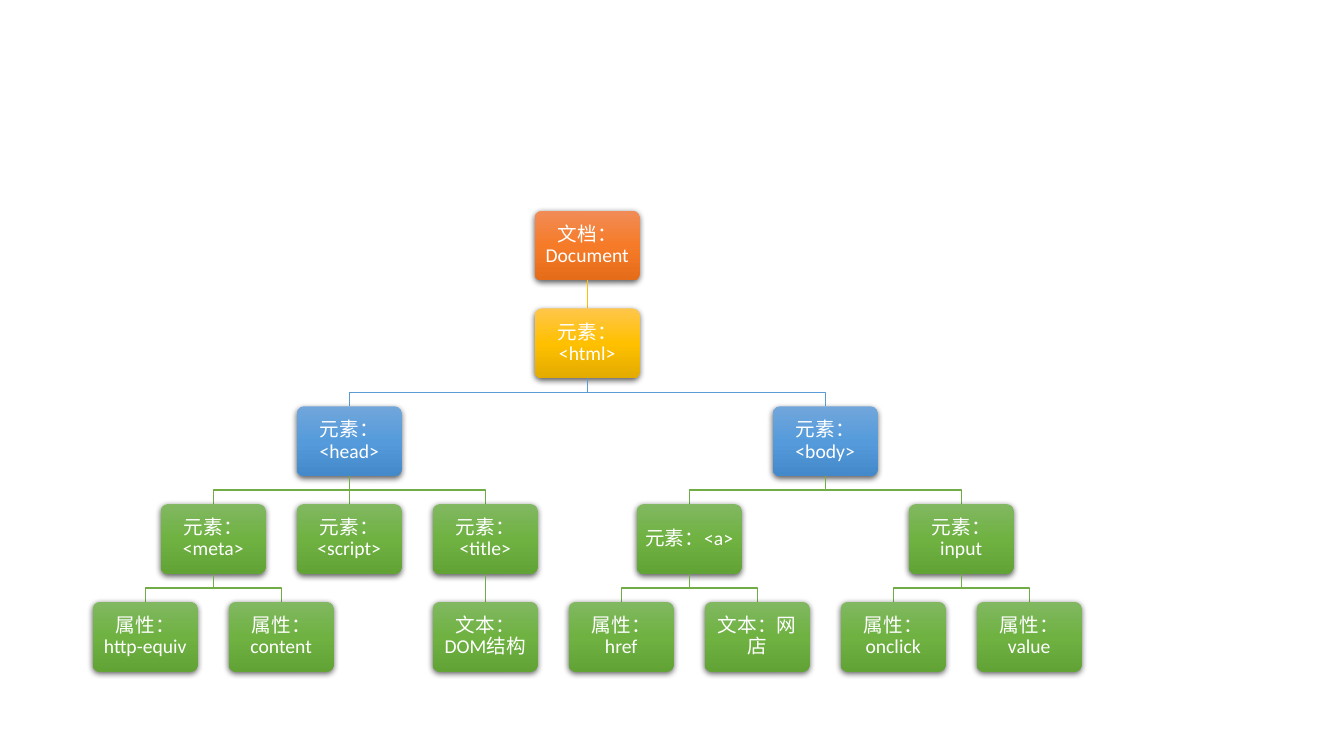
from copy import deepcopy

from lxml.etree import SubElement
from pptx import Presentation
from pptx.dml.color import RGBColor
from pptx.enum.shapes import MSO_CONNECTOR, MSO_SHAPE
from pptx.enum.text import MSO_ANCHOR, PP_ALIGN
from pptx.oxml.ns import qn
from pptx.util import Pt


def rgb(value):
    return RGBColor.from_string(value)


NODE_WIDTH, NODE_HEIGHT = 74.72, 49.8
FIRST_CENTER, HALF_STEP = 103.8, 48.57
TREE_TOP, LEVEL_STEP = 150.5, 69.85
INSET = 4.2

# Gradient from top to bottom, and colour of the line to the parent
GREEN = (("81B861", "6FB242", "62A336"), "70AD47")
LEVEL_COLORS = [
    (("F18C57", "F67B28", "E56C19"), None),
    (("FFC64B", "FFC000", "E3AB00"), "FFC000"),
    (("71A6DB", "559BDB", "448ACA"), "5B9BD5"),
    GREEN,
    GREEN,
]

# Level, column in half steps, text; each node follows its parent
dom_nodes = [
    (0, 6.5, "文档：Document"),
    (1, 6.5, "元素：<html>"),
    (2, 3, "元素：<head>"),
    (3, 1, "元素：<meta>"),
    (4, 0, "属性：http-equiv"),
    (4, 2, "属性：content"),
    (3, 3, "元素：<script>"),
    (3, 5, "元素：<title>"),
    (4, 5, "文本：DOM结构"),
    (2, 10, "元素：<body>"),
    (3, 8, "元素：<a>"),
    (4, 7, "属性：href"),
    (4, 9, "文本：网店"),
    (3, 12, "元素：input"),
    (4, 11, "属性：onclick"),
    (4, 13, "属性：value"),
]

prs = Presentation()
prs.slide_width, prs.slide_height = Pt(960), Pt(540)
slide = prs.slides.add_slide(prs.slide_layouts[6])
shapes = slide.shapes

latest_center = {}
for level, column, text in dom_nodes:
    gradient, branch_color = LEVEL_COLORS[level]
    center = FIRST_CENTER + column * HALF_STEP
    top = TREE_TOP + level * LEVEL_STEP
    latest_center[level] = center

    if level > 0:
        parent_center = latest_center[level - 1]
        parent_bottom = top - LEVEL_STEP + NODE_HEIGHT
        if parent_center == center:
            branch = shapes.add_connector(
                MSO_CONNECTOR.STRAIGHT, Pt(center), Pt(parent_bottom), Pt(center), Pt(top))
            SubElement(branch._element.spPr, qn("a:effectLst"))
        else:
            middle = (parent_bottom + top) / 2
            elbow = shapes.build_freeform(Pt(parent_center), Pt(parent_bottom))
            elbow.add_line_segments(
                [(Pt(parent_center), Pt(middle)), (Pt(center), Pt(middle)), (Pt(center), Pt(top))],
                close=False)
            branch = elbow.convert_to_shape()
            branch.fill.background()
            branch.shadow.inherit = False
        branch.line.color.rgb = rgb(branch_color)
        branch.line.width = Pt(1)

    node = shapes.add_shape(
        MSO_SHAPE.ROUNDED_RECTANGLE,
        Pt(center - NODE_WIDTH / 2), Pt(top), Pt(NODE_WIDTH), Pt(NODE_HEIGHT))
    node.adjustments[0] = 0.1
    node.line.fill.background()
    node.fill.gradient()
    node.fill.gradient_angle = 270
    properties = node._element.spPr
    stops = properties.find(".//" + qn("a:gsLst"))
    stops.insert(1, deepcopy(stops[0]))
    for stop, color, position in zip(node.fill.gradient_stops, gradient, (0, 0.5, 1)):
        stop.color.rgb = rgb(color)
        stop.position = position

    node.shadow.inherit = False
    shadow = SubElement(
        properties.find(qn("a:effectLst")), qn("a:outerShdw"),
        blurRad=str(Pt(4.5)), dist=str(Pt(1.5)), dir="5400000", algn="ctr", rotWithShape="0")
    black = SubElement(shadow, qn("a:srgbClr"), val="000000")
    SubElement(black, qn("a:alpha"), val="63000")

    frame = node.text_frame
    frame.word_wrap = True
    frame.vertical_anchor = MSO_ANCHOR.MIDDLE
    frame.margin_left = frame.margin_right = Pt(INSET)
    frame.margin_top = frame.margin_bottom = Pt(INSET)
    label = frame.paragraphs[0]
    label.alignment = PP_ALIGN.CENTER
    label.line_spacing = 0.9
    run = label.add_run()
    run.text = text
    run.font.name = "Calibri"
    run.font.size = Pt(14)
    run.font.color.rgb = rgb("FFFFFF")

prs.save("out.pptx")
